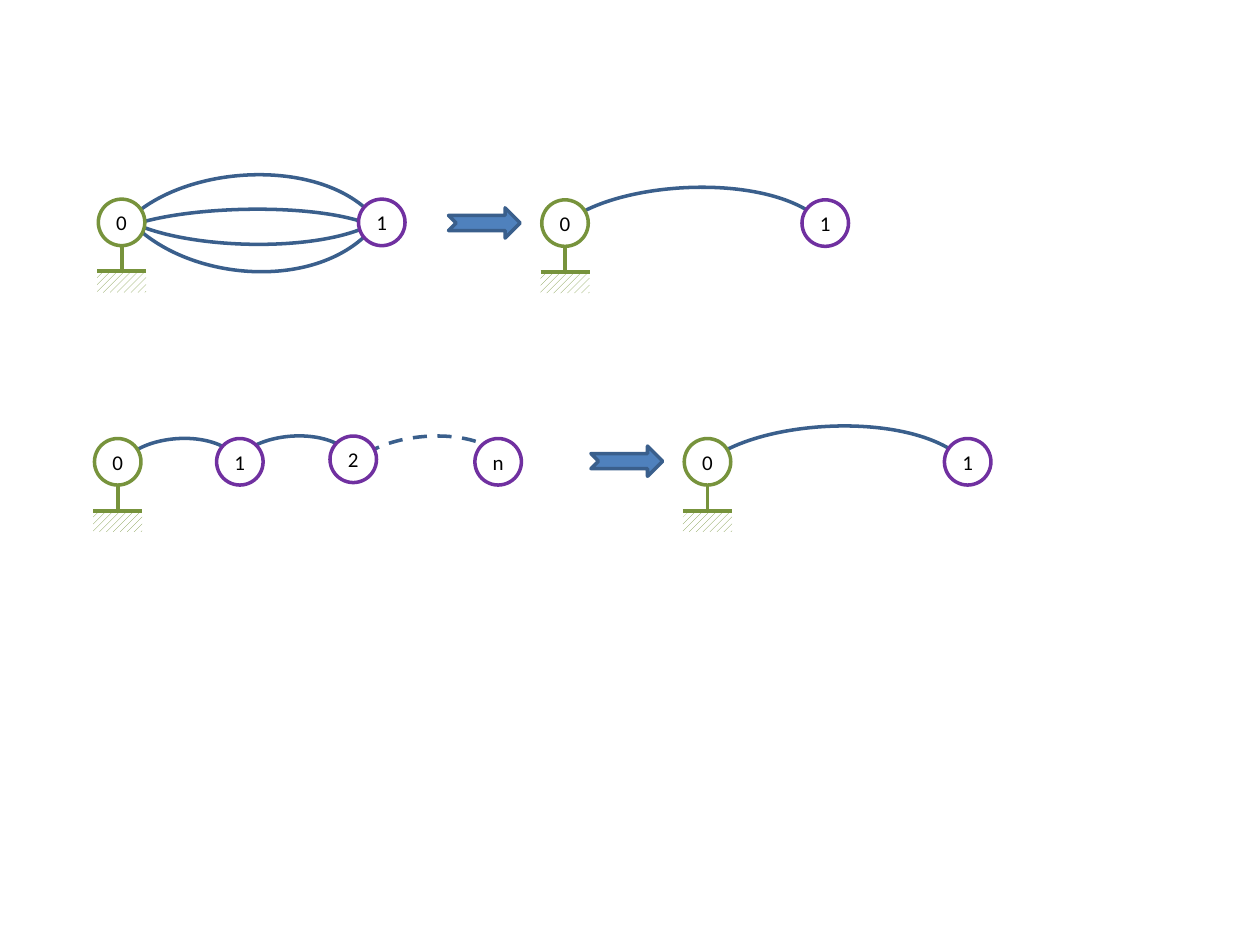
from lxml import etree
from pptx import Presentation
from pptx.dml.color import RGBColor
from pptx.enum.dml import MSO_LINE as Dash, MSO_PATTERN as Pattern
from pptx.enum.shapes import MSO_CONNECTOR as Connector, MSO_SHAPE as Shape
from pptx.enum.text import MSO_ANCHOR as Anchor, PP_ALIGN as Align
from pptx.oxml.ns import qn
from pptx.util import Pt

COLORS = {"ground": "77933C", "node": "7030A0", "link": "3A5F8C",
          "arrow": "4F81BD", "paper": "FFFFFF", "text": "000000"}

NODE = 26.6           # node diameter
FAR = 148.7           # distance from node 0 to node 1 in a two-node network
STEP = (65.5, -1.4)   # shift from one chain link to the next

# Links are cubic curves, measured from the top left of node 0
PARALLEL_LINKS = [
    [(20.9, 8.6), (54, -19.4), (123.8, -23), (154.8, 7.2)],
    [(20.9, 14.4), (54, 3.6), (123.8, 2.2), (154.8, 14.4)],
    [(22.3, 16.6), (56.2, 47.5), (125.3, 51.8), (156.2, 17.3)],
    [(21.6, 14.4), (54.7, 28.8), (123.8, 30.2), (154.8, 15.1)],
]
SINGLE_LINK = [(20.9, 8.2), (54, -10.8), (123.1, -13.5), (154.1, 7.5)]
CHAIN_LINK = [(20.9, 8.6), (35.3, -2.2), (64.8, -3.6), (78.5, 7.9)]
CHAIN_REST = [(155.5, 8.6), (174.2, -3.6), (213.1, -5.8), (230.4, 7.9)]


def rgb(name):
    return RGBColor.from_string(COLORS[name])


def set_line(shape, color, width=2):
    shape.line.color.rgb = rgb(color)
    shape.line.width = Pt(width)


def add_link(shapes, left, top, curve, dashed=False):
    points = [(Pt(left + x), Pt(top + y)) for x, y in curve]

    def at(t):
        weights = ((1 - t) ** 3, 3 * t * (1 - t) ** 2, 3 * t * t * (1 - t), t ** 3)
        return tuple(round(sum(w * p[axis] for w, p in zip(weights, points)))
                     for axis in (0, 1))

    # Sampled points give the frame its size
    builder = shapes.build_freeform(*points[0], scale=1.0)
    builder.add_line_segments([at(i / 20) for i in range(1, 21)], close=False)
    link = builder.convert_to_shape()

    # One true curve replaces the sampled segments
    outline = next(link._element.iter(qn("a:path")))
    for segment in outline.findall(qn("a:lnTo")):
        outline.remove(segment)
    bezier = etree.SubElement(outline, qn("a:cubicBezTo"))
    for x, y in points[1:]:
        etree.SubElement(bezier, qn("a:pt"), x=str(x - link.left), y=str(y - link.top))

    link.shadow.inherit = False
    link.fill.background()
    set_line(link, "link")
    if dashed:
        link.line.dash_style = Dash.DASH


def add_node(shapes, left, top, label, color="node"):
    node = shapes.add_shape(Shape.OVAL, Pt(left), Pt(top), Pt(NODE), Pt(NODE))
    node.shadow.inherit = False
    node.fill.solid()
    node.fill.fore_color.rgb = rgb("paper")
    set_line(node, color)
    frame = node.text_frame
    frame.margin_left = frame.margin_right = Pt(2.9)
    frame.margin_top = frame.margin_bottom = Pt(2.9)
    frame.vertical_anchor = Anchor.MIDDLE
    frame.text = label
    paragraph = frame.paragraphs[0]
    paragraph.alignment = Align.CENTER
    font = paragraph.runs[0].font
    font.name, font.size = "Calibri", Pt(12)
    font.color.rgb = rgb("text")


def add_ground(shapes, left, top):
    width, base, middle = 28, top + 41.2, left + NODE / 2
    start = middle - width / 2
    hatch = shapes.add_shape(Shape.RECTANGLE, Pt(start), Pt(base), Pt(width), Pt(12.2))
    hatch.shadow.inherit = False
    hatch.fill.patterned()
    hatch.fill.pattern = Pattern.WIDE_UPWARD_DIAGONAL
    hatch.fill.fore_color.rgb = rgb("ground")
    hatch.fill.back_color.rgb = rgb("paper")
    hatch.line.fill.background()

    # Base line and stem
    for ends in ((start, base, start + width, base),
                 (middle, top + NODE - 0.6, middle, base)):
        bar = shapes.add_connector(Connector.STRAIGHT, *map(Pt, ends))
        etree.SubElement(bar._element.spPr, qn("a:effectLst"))
        set_line(bar, "ground", 2.25)
        effects = bar._element.spPr.find(qn("a:effectLst"))
        bar._element.spPr.append(effects)


def add_network(slide, left, top, links, nodes, rest=None):
    """Grounded node 0 at (left, top), with links and nodes placed from it."""
    shapes = slide.shapes.add_group_shape().shapes
    add_ground(shapes, left, top)
    for link in links:
        add_link(shapes, left, top, link)
    if rest:
        add_link(shapes, left, top, rest, dashed=True)
    add_node(shapes, left, top, "0", "ground")
    for label, dx, dy in nodes:
        add_node(shapes, left + dx, top + dy, label)


def add_arrow(slide, left, top):
    arrow = slide.shapes.add_shape(Shape.NOTCHED_RIGHT_ARROW,
                                   Pt(left), Pt(top), Pt(41), Pt(17.3))
    arrow.shadow.inherit = False
    arrow.fill.solid()
    arrow.fill.fore_color.rgb = rgb("arrow")
    set_line(arrow, "link")


def main():
    deck = Presentation()
    deck.slide_width, deck.slide_height = Pt(720), Pt(540)
    slide = deck.slides.add_slide(deck.slide_layouts[6])
    pair = [("1", FAR, 0)]

    # Parallel links reduce to one link
    add_network(slide, 56.2, 113.8, PARALLEL_LINKS, pair)
    add_arrow(slide, 256.3, 118.8)
    add_network(slide, 309.6, 114.2, [SINGLE_LINK], pair)

    # A chain of links reduces to one link
    next_link = [(x + STEP[0], y + STEP[1]) for x, y in CHAIN_LINK]
    chain = [("1", 69.8, 0), ("2", 134.6, -1.4), ("n", 217.4, 0)]
    add_network(slide, 54, 250.6, [CHAIN_LINK, next_link], chain, CHAIN_REST)
    add_arrow(slide, 337.7, 254.9)
    add_network(slide, 391, 250.6, [SINGLE_LINK], pair)

    deck.save("out.pptx")


if __name__ == "__main__":
    main()
